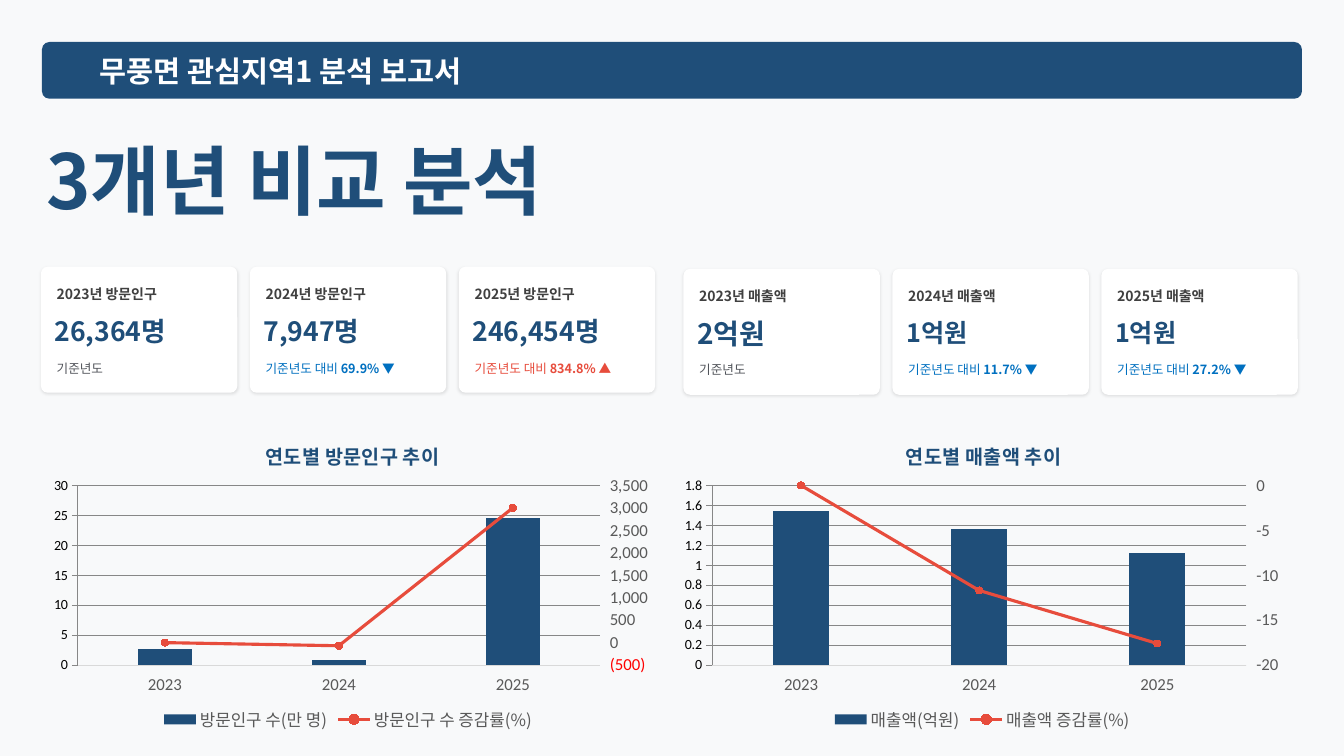
from lxml import etree
from pptx import Presentation
from pptx import util as u
from pptx.chart import axis as chart_axis
from pptx.chart import data as chart_data
from pptx.dml import color
from pptx.enum import chart as chart_enum
from pptx.enum import shapes, text
from pptx.oxml import ns, parse_xml

PX = 9525  # EMU in one px, at 96 px to the inch
COLORS = {
    "background": "F8F9FA", "white": "FFFFFF", "navy": "1F4E79",
    "label": "404040", "base": "51545A", "down": "0070C0", "up": "E74C3C",
    "axis": "595959", "grid": "D9D9D9", "black": "000000",
}
KOREAN, LATIN = "Noto Sans CJK KR", "Calibri"
FRAME_FORMAT = {
    "margin_left": 0, "margin_top": 0, "margin_right": 0, "margin_bottom": 0,
    "word_wrap": True, "auto_size": text.MSO_AUTO_SIZE.NONE,
    "vertical_anchor": text.MSO_ANCHOR.MIDDLE,
}
YEARS = ["2023", "2024", "2025"]
CARD_WIDTH, CARD_HEIGHT, CARD_PITCH = 187, 120, 199

# Each card: label, label width, value, value size, change, colour of the note
VISITOR_CARDS = [
    ("2023년 방문인구", 108, "26,364명", 19, "", "base"),
    ("2024년 방문인구", 104, "7,947명", 19, "69.9% ▼", "down"),
    ("2025년 방문인구", 99, "246,454명", 19, "834.8% ▲", "up"),
]
SALES_CARDS = [
    ("2023년 매출액", 92, "2억원", 20, "", "base"),
    ("2024년 매출액", 92, "1억원", 18, "11.7% ▼", "down"),
    ("2025년 매출액", 92, "1억원", 18, "27.2% ▼", "down"),
]


def px(*lengths):
    return [u.Emu(length * PX) for length in lengths]


def rgb(name):
    return color.RGBColor.from_string(COLORS[name])


def set_font(font, size, color_name, bold=False, name=KOREAN):
    for key, value in {"size": u.Pt(size), "bold": bold, "name": name}.items():
        setattr(font, key, value)
    font.color.rgb = rgb(color_name)
    etree.SubElement(font._rPr, ns.qn("a:ea")).set("typeface", name)


def fill_frame(frame, runs, size, color_name):
    """Write runs of (words, bold) into a frame without margins."""
    for key, value in FRAME_FORMAT.items():
        setattr(frame, key, value)
    paragraph = frame.paragraphs[0]
    paragraph.alignment = text.PP_ALIGN.LEFT
    for words, bold in runs:
        run = paragraph.add_run()
        run.text = words
        set_font(run.font, size, color_name, bold)


def add_text(slide, box, runs, size, color_name):
    shape = slide.shapes.add_textbox(*px(*box))
    fill_frame(shape.text_frame, runs, size, color_name)


def add_panel(slide, box, color_name, rounding):
    shape = slide.shapes.add_shape(shapes.MSO_SHAPE.ROUNDED_RECTANGLE, *px(*box))
    shape.adjustments[0] = rounding
    shape.shadow.inherit = False
    shape.fill.solid()
    shape.fill.fore_color.rgb = rgb(color_name)
    shape.line.fill.background()
    return shape


def add_soft_shadow(shape):
    effects = shape._element.spPr.find(ns.qn("a:effectLst"))
    effects.append(parse_xml(
        f'<a:outerShdw {ns.nsdecls("a")} blurRad="{u.Pt(2)}" dist="{u.Pt(1)}" '
        f'dir="5400000" algn="t" rotWithShape="0"><a:srgbClr val="{COLORS["black"]}">'
        '<a:alpha val="10000"/></a:srgbClr></a:outerShdw>'))


def add_cards(slide, left, top, note_offset, cards):
    for index, (label, label_width, value, size, change, note_color) in enumerate(cards):
        x = left + index * CARD_PITCH
        add_soft_shadow(add_panel(slide, (x, top, CARD_WIDTH, CARD_HEIGHT), "white", 0.053))
        add_text(slide, (x + 15, top + 17, label_width, 17), [(label, True)], 10, "label")
        add_text(slide, (x + 13, top + 47, CARD_WIDTH, 28), [(value, True)], size, "navy")
        note = [("기준년도 대비 ", False), (change, True)] if change else [("기준년도", False)]
        add_text(slide, (x + 15, top + note_offset, 170, 20), note, 9, note_color)


def move_to_right_axis(chart):
    """Turn the second column series into a line and return its value axis."""
    plot_area = chart._chartSpace.chart.plotArea
    bars = plot_area.find(ns.qn("c:barChart"))
    series = bars.findall(ns.qn("c:ser"))[1]
    for bar_only in series.findall(ns.qn("c:invertIfNegative")):
        series.remove(bar_only)
    line = parse_xml(
        f'<c:lineChart {ns.nsdecls("c")}><c:grouping val="standard"/>'
        '<c:varyColors val="0"/><c:marker val="1"/>'
        '<c:axId val="5001"/><c:axId val="5002"/></c:lineChart>')
    line.insert(2, series)
    bars.addnext(line)
    scaling = '<c:scaling><c:orientation val="minMax"/></c:scaling>'
    value = parse_xml(
        f'<c:valAx {ns.nsdecls("c")}><c:axId val="5002"/>{scaling}<c:delete val="0"/>'
        '<c:axPos val="r"/><c:numFmt formatCode="General" sourceLinked="0"/>'
        '<c:majorTickMark val="out"/><c:minorTickMark val="none"/>'
        '<c:tickLblPos val="nextTo"/><c:crossAx val="5001"/><c:crosses val="max"/></c:valAx>')
    category = parse_xml(
        f'<c:catAx {ns.nsdecls("c")}><c:axId val="5001"/>{scaling}<c:delete val="1"/>'
        '<c:axPos val="b"/><c:crossAx val="5002"/><c:crosses val="autoZero"/></c:catAx>')
    left_axis = plot_area.find(ns.qn("c:valAx"))
    left_axis.addnext(value)
    value.addnext(category)
    return chart_axis.ValueAxis(value)


def place(parent, position, x, y, width=None, height=None):
    """Give a chart part a fixed place, in fractions of the chart."""
    for old in parent.findall(ns.qn("c:layout")):
        parent.remove(old)
    inner = '<c:layoutTarget val="inner"/>' if width else ""
    sizes = f'<c:w val="{width}"/><c:h val="{height}"/>' if width else ""
    parent.insert(position, parse_xml(
        f'<c:layout {ns.nsdecls("c")}><c:manualLayout>{inner}<c:xMode val="edge"/>'
        f'<c:yMode val="edge"/><c:x val="{x}"/><c:y val="{y}"/>{sizes}'
        '</c:manualLayout></c:layout>'))


def style_axis(axis, tick):
    axis.major_tick_mark = tick
    set_font(axis.tick_labels.font, 12, "axis", name=LATIN)
    axis.format.line.fill.background()


def style_rule(line, color_name, width):
    line.color.rgb = rgb(color_name)
    line.width = u.Pt(width)


def add_trend_chart(slide, left, title, title_x, plot_width, series, number_format):
    source = chart_data.CategoryChartData()
    source.categories = YEARS
    for name, values in series:
        source.add_series(name, values)
    chart = slide.shapes.add_chart(
        chart_enum.XL_CHART_TYPE.COLUMN_CLUSTERED, *px(left, 397, 585, 304), source).chart
    set_font(chart.font, 10, "black", name=LATIN)
    right_axis = move_to_right_axis(chart)

    # Title and legend
    frame = chart.chart_title.text_frame
    run = frame.paragraphs[0].add_run()
    run.text = title
    set_font(run.font, 14, "navy", True)
    place(chart.chart_title._element, 1, title_x, 0.06)
    place(chart._chartSpace.chart.plotArea, 0, 0.06, 0.215, plot_width, 0.563)
    chart.has_legend = True
    chart.legend.position = chart_enum.XL_LEGEND_POSITION.BOTTOM
    chart.legend.include_in_layout = False
    set_font(chart.legend.font, 12, "axis")

    # Axes
    ticks = chart_enum.XL_TICK_MARK
    for axis, tick in ((chart.category_axis, ticks.NONE), (chart.value_axis, ticks.NONE),
                       (right_axis, ticks.OUTSIDE)):
        style_axis(axis, tick)
    chart.category_axis.tick_label_position = chart_enum.XL_TICK_LABEL_POSITION.LOW
    style_rule(chart.category_axis.format.line, "grid", 0.75)
    style_rule(chart.value_axis.major_gridlines.format.line, "grid", 0.75)
    chart.value_axis.tick_labels.number_format = number_format
    chart.value_axis.tick_labels.number_format_is_linked = False

    # Columns and line
    columns, line_plot = chart.plots
    columns.gap_width = 219
    columns.vary_by_categories = False
    bar_fill = columns.series[0].format.fill
    bar_fill.solid()
    bar_fill.fore_color.rgb = rgb("navy")
    rate = line_plot.series[0]
    rate.smooth = False
    style_rule(rate.format.line, "up", 2.25)
    rate.marker.style = chart_enum.XL_MARKER_STYLE.CIRCLE
    rate.marker.size = 5
    rate.marker.format.fill.solid()
    rate.marker.format.fill.fore_color.rgb = rgb("up")
    style_rule(rate.marker.format.line, "up", 0.75)


def main():
    presentation = Presentation()
    presentation.slide_width, presentation.slide_height = px(1280, 720)
    slide = presentation.slides.add_slide(presentation.slide_layouts[5])
    slide.background.fill.solid()
    slide.background.fill.fore_color.rgb = rgb("background")

    # Header bar and title
    add_panel(slide, (40, 40, 1200, 54), "navy", 0.132)
    add_text(slide, (95, 47, 435, 41), [("무풍면 관심지역1 분석 보고서", True)], 21, "white")
    title = slide.shapes.title
    title.left, title.top, title.width, title.height = px(44, 118, 607, 105)
    fill_frame(title.text_frame, [("3개년 비교 분석", True)], 54, "navy")

    # Key figures
    add_cards(slide, 39, 254, 87, VISITOR_CARDS)
    add_cards(slide, 651, 256, 86, SALES_CARDS)

    # Trends
    add_trend_chart(slide, 39, "연도별 방문인구 추이", 0.36, 0.85, [
        ("방문인구 수(만 명)", (2.6, 0.8, 24.6)),
        ("방문인구 수 증감률(%)", (0, -70, 3000))], r"#,##0_);[Red]\(#,##0\)")
    add_trend_chart(slide, 643, "연도별 매출액 추이", 0.37, 0.87, [
        ("매출액(억원)", (1.54, 1.36, 1.12)),
        ("매출액 증감률(%)", (0, -11.7, -17.6))], "General")
    presentation.save("out.pptx")


if __name__ == "__main__":
    main()
